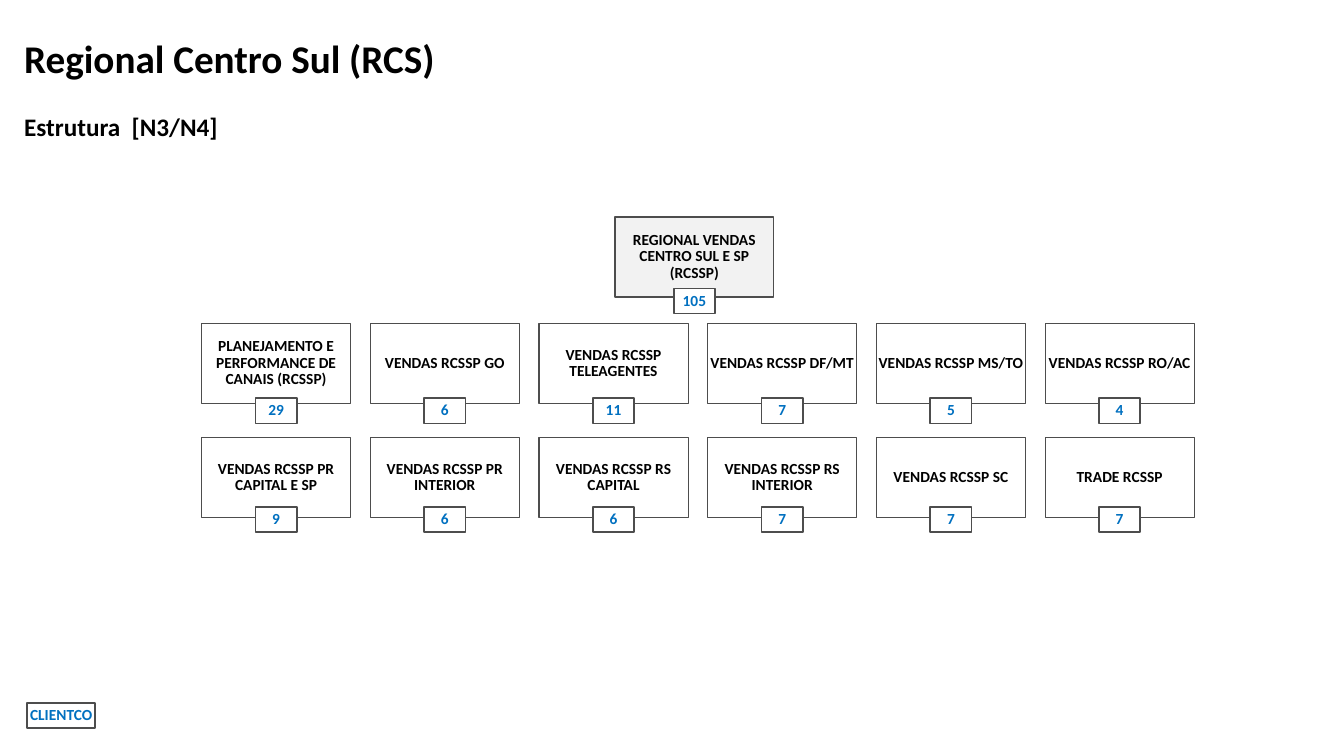
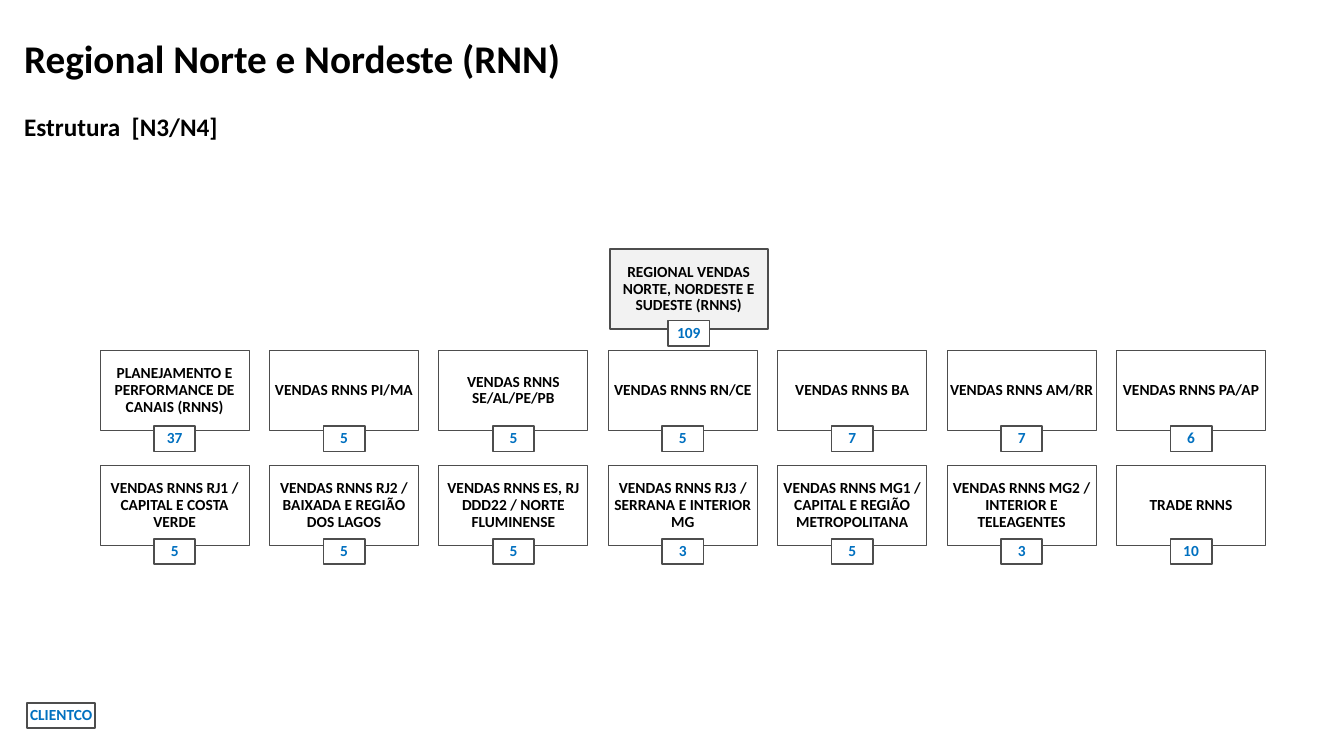
import pptx
import pptx.dml.color
import pptx.enum.shapes
import pptx.enum.text
import pptx.util
from lxml import etree

Pt = pptx.util.Pt
FONT = "Calibri"
BLACK, BLUE, GREY, PALE, WHITE = "000000", "0070C0", "4D4D4D", "F2F2F2", "FFFFFF"
BOX_W, BOX_H = 106.5, 57
ROOT_W = 113
BADGE_W, BADGE_H = 29.5, 18

CENTRE = {
    "title": "Regional Centro Sul (RCS)",
    "root": ("REGIONAL VENDAS CENTRO SUL E SP (RCSSP)", "105", 439.5, 155),
    "left": 144,
    "pitch": 120.5,
    "rows": [
        (231, 284.5, [
            ("PLANEJAMENTO E PERFORMANCE DE CANAIS (RCSSP)", "29"),
            ("VENDAS RCSSP GO", "6"),
            ("VENDAS RCSSP TELEAGENTES", "11"),
            ("VENDAS RCSSP DF/MT", "7"),
            ("VENDAS RCSSP MS/TO", "5"),
            ("VENDAS RCSSP RO/AC", "4"),
        ]),
        (312.5, 362, [
            ("VENDAS RCSSP PR CAPITAL E SP", "9"),
            ("VENDAS RCSSP PR INTERIOR", "6"),
            ("VENDAS RCSSP RS CAPITAL", "6"),
            ("VENDAS RCSSP RS INTERIOR", "7"),
            ("VENDAS RCSSP SC", "7"),
            ("TRADE RCSSP", "7"),
        ]),
    ],
}

NORTH = {
    "title": "Regional Norte e Nordeste (RNN)",
    "root": ("REGIONAL VENDAS NORTE, NORDESTE E SUDESTE (RNNS)", "109", 435.5, 178),
    "left": 71.5,
    "pitch": 121,
    "rows": [
        (250.5, 304.5, [
            ("PLANEJAMENTO E PERFORMANCE DE CANAIS (RNNS)", "37"),
            ("VENDAS RNNS PI/MA", "5"),
            ("VENDAS RNNS SE/AL/PE/PB", "5"),
            ("VENDAS RNNS RN/CE", "5"),
            ("VENDAS RNNS BA", "7"),
            ("VENDAS RNNS AM/RR", "7"),
            ("VENDAS RNNS PA/AP", "6"),
        ]),
        (332.5, 385, [
            ("VENDAS RNNS RJ1 / CAPITAL E COSTA VERDE", "5"),
            ("VENDAS RNNS RJ2 / BAIXADA E REGIÃO DOS LAGOS", "5"),
            ("VENDAS RNNS ES, RJ DDD22 / NORTE FLUMINENSE", "5"),
            ("VENDAS RNNS RJ3 / SERRANA E INTERIOR MG", "3"),
            ("VENDAS RNNS MG1 / CAPITAL E REGIÃO METROPOLITANA", "5"),
            ("VENDAS RNNS MG2 / INTERIOR E TELEAGENTES", "3"),
            ("TRADE RNNS", "10"),
        ]),
    ],
}


def tint(hue):
    return pptx.dml.color.RGBColor.from_string(hue)


def write(frame, text, size, hue, align):
    frame.text = text
    frame.word_wrap = True
    frame.auto_size = pptx.enum.text.MSO_AUTO_SIZE.NONE
    frame.vertical_anchor = pptx.enum.text.MSO_ANCHOR.MIDDLE
    para = frame.paragraphs[0]
    para.alignment = align
    para.space_before = Pt(0)
    for run in para.runs:
        run.font.name = FONT
        run.font.size = Pt(size)
        run.font.bold = True
        run.font.color.rgb = tint(hue)
    return para


def head(holder, text, size, top, high):
    holder.left, holder.top = Pt(10), Pt(top)
    holder.width, holder.height = Pt(822), Pt(high)
    return write(holder.text_frame, text, size, BLACK, pptx.enum.text.PP_ALIGN.LEFT)


def box(slide, text, left, top, wide, high, fill=None, hue=BLACK, line=1.25):
    shape = slide.shapes.add_shape(
        pptx.enum.shapes.MSO_SHAPE.RECTANGLE, Pt(left), Pt(top), Pt(wide), Pt(high))
    shape.shadow.inherit = False
    if fill:
        shape.fill.solid()
        shape.fill.fore_color.rgb = tint(fill)
    else:
        shape.fill.background()
    shape.line.color.rgb = tint(GREY)
    shape.line.width = Pt(line)
    frame = shape.text_frame
    frame.margin_left = frame.margin_right = frame.margin_top = frame.margin_bottom = 0
    para = write(frame, text, 11, hue, pptx.enum.text.PP_ALIGN.CENTER)
    para.line_spacing = 0.9


def badge(slide, text, left, top, wide=BADGE_W):
    box(slide, text, left, top, wide, BADGE_H, WHITE, BLUE)


def unit(slide, text, count, left, top, drop, wide=BOX_W, fill=None, line=0.75):
    box(slide, text, left, top, wide, BOX_H, fill, line=line)
    badge(slide, count, left + (wide - BADGE_W) / 2, drop)


def frame_up(deck, title):
    slide = deck.slides.add_slide(deck.slide_layouts[1])
    head(slide.shapes.title, title, 28, 18, 46)
    para = head(slide.placeholders[1], "Estrutura  [N3/N4]", 18, 74, 33)
    props = para._p.get_or_add_pPr()
    props.set("marL", "0")
    props.set("indent", "0")
    etree.SubElement(props, pptx.oxml.ns.qn("a:buNone"))
    badge(slide, "CLIENTCO", 19.5, 502, 48.5)
    return slide


def chart(deck, plan):
    slide = frame_up(deck, plan["title"])
    text, count, left, top = plan["root"]
    unit(slide, text, count, left, top, top + 51, ROOT_W, PALE, 1.25)
    for top, drop, row in plan["rows"]:
        for i, (text, count) in enumerate(row):
            unit(slide, text, count, plan["left"] + i * plan["pitch"], top, drop)


def main():
    deck = pptx.Presentation()
    deck.slide_width, deck.slide_height = Pt(960), Pt(540)
    for plan in (CENTRE, NORTH):
        chart(deck, plan)
    deck.save("out.pptx")


if __name__ == "__main__":
    main()
